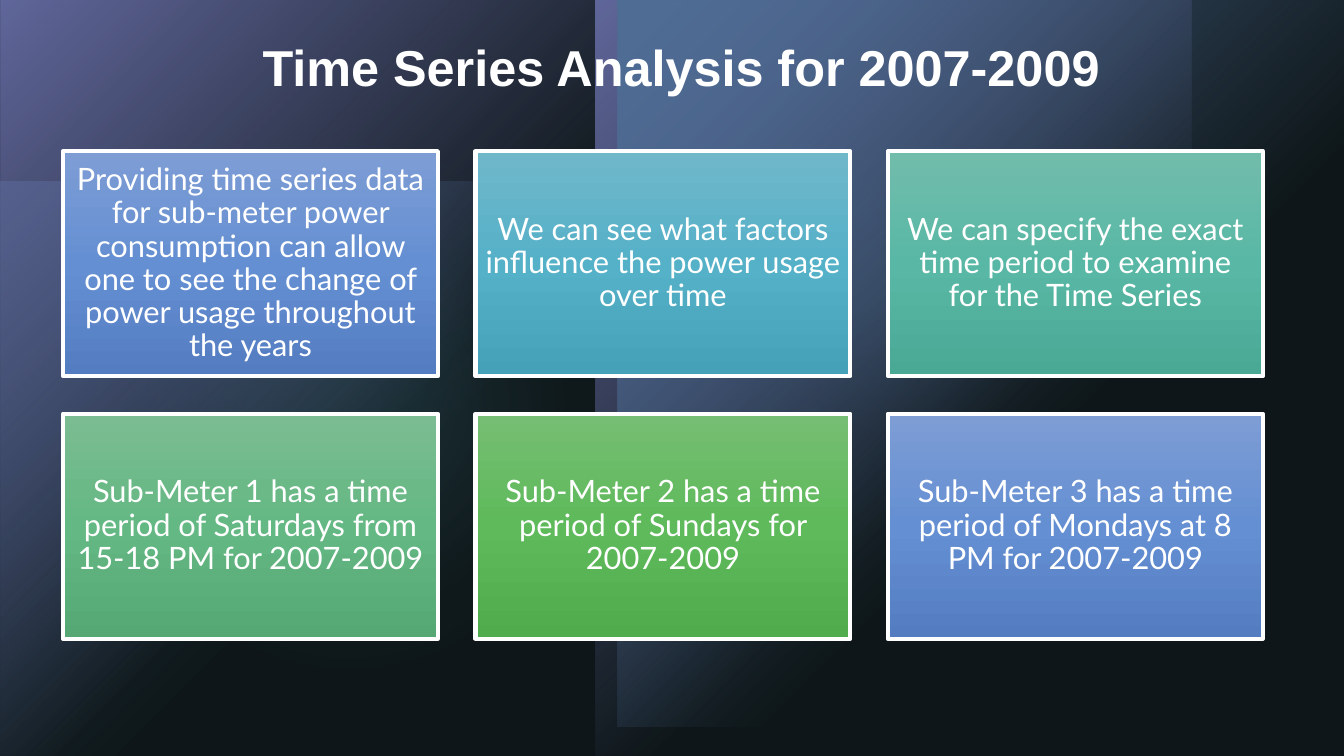
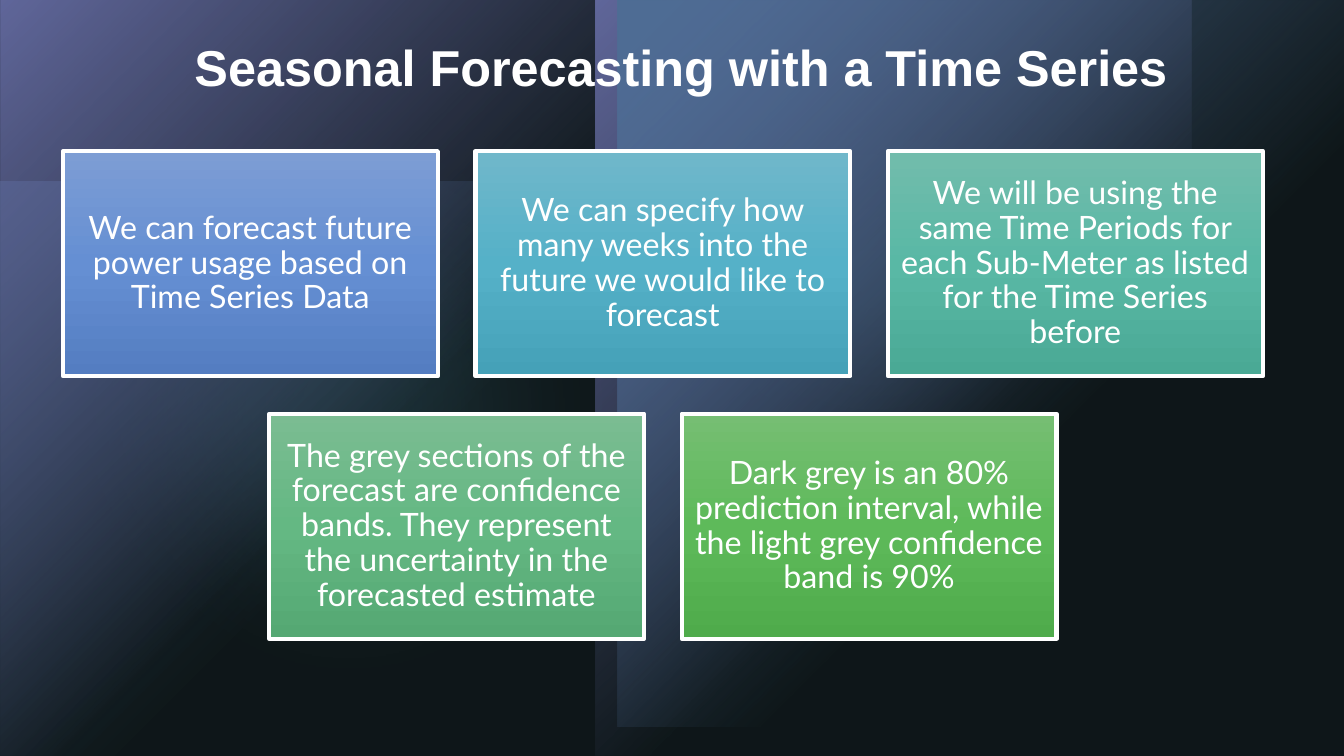
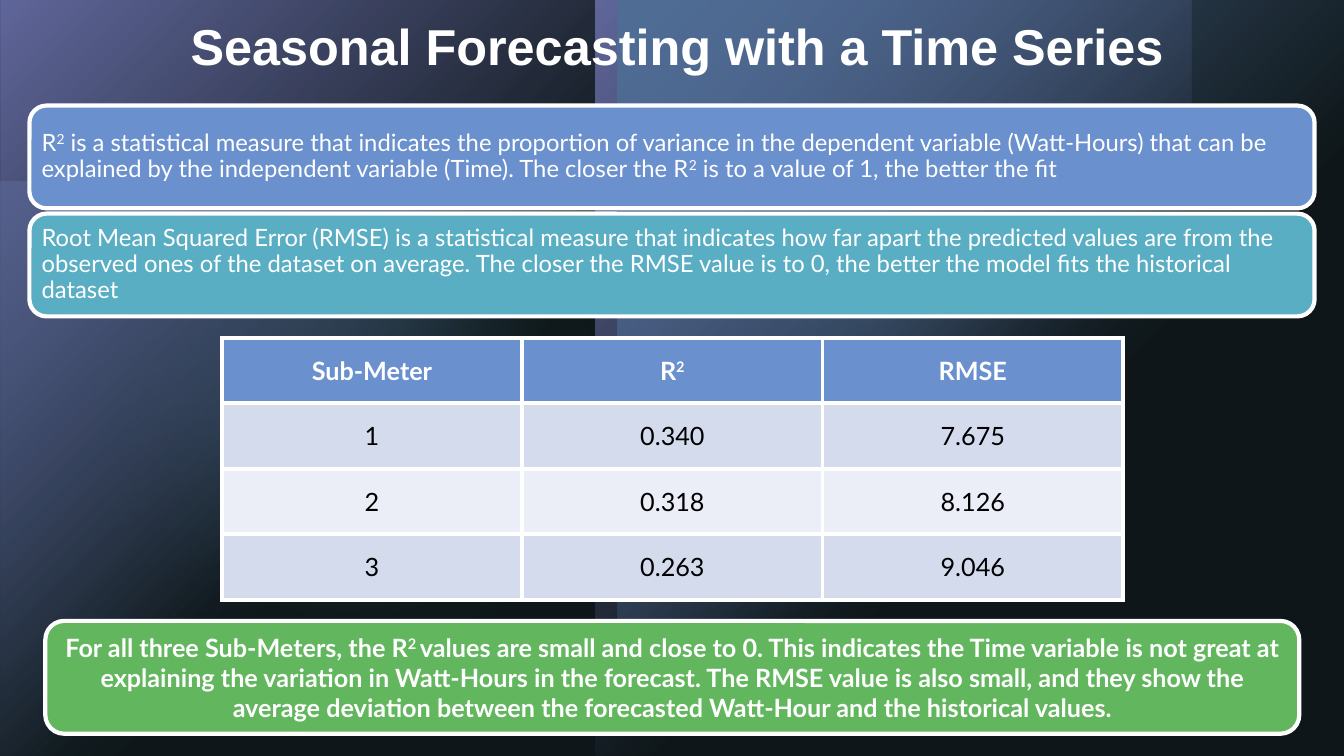
from dataclasses import dataclass

from lxml import etree
from pptx import Presentation
from pptx.dml.color import RGBColor
from pptx.enum.shapes import MSO_SHAPE
from pptx.enum.text import MSO_ANCHOR, PP_ALIGN
from pptx.oxml import parse_xml
from pptx.oxml.ns import nsdecls, qn
from pptx.util import Pt

RECT, OVAL, ROUNDED = MSO_SHAPE.RECTANGLE, MSO_SHAPE.OVAL, MSO_SHAPE.ROUNDED_RECTANGLE
LEFT, CENTER = PP_ALIGN.LEFT, PP_ALIGN.CENTER
MIDDLE, BOTTOM = MSO_ANCHOR.MIDDLE, MSO_ANCHOR.BOTTOM


@dataclass(frozen=True)
class Theme:
    black: str = "000000"
    white: str = "FFFFFF"
    blue: str = "6A90CE"
    teal: str = "5AAEC3"
    green: str = "62B65E"
    violet: str = "8885D7"
    veil: str = "24393F"
    bands: tuple = ("D4DBED", "EBEEF6")
    card_ramps: tuple = (
        ("7D9DD4", "658FD3", "547DC1"),
        ("70B7CA", "55B1C8", "45A1B8"),
        ("72BCAC", "59B8A5", "4AA995"),
        ("7BBC92", "64B883", "55A873"),
        ("76BE73", "5EBA5A", "4FAB4B"),
    )
    title_font: str = "Arial"
    body_font: str = "Lato"
    title_size: float = 36
    panel_size: float = 17
    table_size: float = 18
    outline: float = 3
    inset_ratio: float = 0.3  # text inset as a share of the type size


theme = Theme()


def write(frame, text, size, font=theme.body_font, color=theme.white, bold=False,
          align=CENTER, anchor=MIDDLE, spacing=1.0, inset=None):
    """Fill a text frame; parts between ^ marks are superscript."""
    frame.word_wrap = True
    frame.vertical_anchor = anchor
    if inset is not None:
        frame.margin_left = frame.margin_right = Pt(inset)
        frame.margin_top = frame.margin_bottom = Pt(inset)
    paragraph = frame.paragraphs[0]
    paragraph.alignment = align
    paragraph.line_spacing = spacing
    for index, part in enumerate(text.split("^")):
        run = paragraph.add_run()
        run.text = part
        run.font.name, run.font.size, run.font.bold = font, Pt(size), bold
        run.font.color.rgb = RGBColor.from_string(color)
        if index % 2:
            run.font._element.set("baseline", "30000")


def paint(shape, stops, radial=False, outlined=True):
    """Fill with (position %, colour, opacity %) stops; a single stop is a solid fill."""
    shape.shadow.inherit = False
    if outlined:
        shape.line.color.rgb = RGBColor.from_string(theme.white)
        shape.line.width = Pt(theme.outline)
    else:
        shape.line.fill.background()
    colors = [f'<a:srgbClr val="{color}"><a:alpha val="{opacity * 1000}"/></a:srgbClr>'
              for _, color, opacity in stops]
    if len(stops) == 1:
        fill = f'<a:solidFill {nsdecls("a")}>{colors[0]}</a:solidFill>'
    else:
        marks = "".join(f'<a:gs pos="{stop[0] * 1000}">{color}</a:gs>'
                        for stop, color in zip(stops, colors))
        direction = ('<a:path path="circle"><a:fillToRect r="100000" b="100000"/></a:path>'
                     if radial else '<a:lin ang="5400000" scaled="0"/>')
        fill = (f'<a:gradFill {nsdecls("a")} rotWithShape="1"><a:gsLst>{marks}</a:gsLst>'
                f'{direction}</a:gradFill>')
    shape.fill.background()
    properties = shape.element.spPr
    properties.replace(properties.find(qn("a:noFill")), parse_xml(fill))


prs = Presentation()
prs.slide_width, prs.slide_height = Pt(960), Pt(540)
slides = [prs.slides.add_slide(prs.slide_layouts[6]) for _ in range(3)]
periods, forecasting, fit = slides

# Shared backdrop, moved to the slide master
master = prs.slide_master
master.background.fill.solid()
master.background.fill.fore_color.rgb = RGBColor.from_string(theme.black)
faint_blue = [(0, theme.blue, 60), (60, theme.blue, 0)]
strong_blue = [(0, theme.blue, 100), (60, theme.blue, 0)]
strong_violet = [(0, theme.violet, 100), (60, theme.violet, 0)]
# preset, left, top, width, height, rotation, flips, stops
backdrop = [
    (RECT, 0, 129.4, 411, 411, 0, "V", faint_blue),
    (OVAL, 453, 31, 340, 340, 0, "V", [(0, theme.teal, 60)]),
    (OVAL, 0, 40.3, 499.7, 499.7, 0, "V", [(0, theme.teal, 20)]),
    (RECT, 0, 0, 425.5, 540, 180, "V", strong_violet),
    (RECT, 425.5, 0, 425.5, 540, 180, "HV", strong_violet),
    (RECT, 441, 0, 519, 519, 180, "V", strong_blue),
    (RECT, 0, 0, 960, 540, 0, "", [(0, theme.veil, 40)]),
]
for number, (preset, left, top, width, height, turn, flips, stops) in enumerate(backdrop, 101):
    layer = periods.shapes.add_shape(preset, Pt(left), Pt(top), Pt(width), Pt(height))
    layer.rotation = turn
    for axis in flips:
        layer.element.spPr.find(qn("a:xfrm")).set(f"flip{axis}", "1")
    paint(layer, stops, radial=True, outlined=False)
    if preset == OVAL:
        effects = layer.element.spPr.find(qn("a:effectLst"))
        etree.SubElement(effects, qn("a:softEdge"), rad=str(Pt(100)))
    layer.element.nvSpPr.cNvPr.set("id", str(number))
    master.shapes.element.append(layer.element)

# Titles
titles = [
    (periods, "Time Series Analysis for 2007-2009", 84.2, 28),
    (forecasting, "Seasonal Forecasting with a Time Series", 84.2, 28),
    (fit, "Seasonal Forecasting with a Time Series", 81.4, 13),
]
for slide, title, left, top in titles:
    heading = slide.shapes.add_textbox(Pt(left), Pt(top), Pt(805), Pt(45.4))
    write(heading.text_frame, title, theme.title_size, font=theme.title_font,
          bold=True, anchor=BOTTOM, spacing=0.9)

# Card grids: rows of up to three, each row centred
card_w, card_h, card_gap = 267.8, 160.7, 26.8
grid_center, grid_top, per_row = 473.5, 108, 3
card_sets = [
    (periods, 22, [
        "Providing time series data for sub-meter power consumption can allow one to see "
        "the change of power usage throughout the years",
        "We can see what factors influence the power usage over time",
        "We can specify the exact time period to examine for the Time Series",
        "Sub-Meter 1 has a time period of Saturdays from 15-18 PM for 2007-2009",
        "Sub-Meter 2 has a time period of Sundays for 2007-2009",
        "Sub-Meter 3 has a time period of Mondays at 8 PM for 2007-2009",
    ]),
    (forecasting, 23, [
        "We can forecast future power usage based on Time Series Data",
        "We can specify how many weeks into the future we would like to forecast",
        "We will be using the same Time Periods for each Sub-Meter as listed for the "
        "Time Series before",
        "The grey sections of the forecast are confidence bands. They represent the "
        "uncertainty in the forecasted estimate",
        "Dark grey is an 80% prediction interval, while the light grey confidence band is 90%",
    ]),
]
for slide, size, messages in card_sets:
    for index, message in enumerate(messages):
        row, column = divmod(index, per_row)
        in_row = min(per_row, len(messages) - row * per_row)
        row_left = grid_center - (in_row * (card_w + card_gap) - card_gap) / 2
        card = slide.shapes.add_shape(
            RECT, Pt(row_left + column * (card_w + card_gap)),
            Pt(grid_top + row * (card_h + card_gap)), Pt(card_w), Pt(card_h))
        ramp = theme.card_ramps[index % len(theme.card_ramps)]
        paint(card, [(position, color, 100) for position, color in zip((0, 50, 100), ramp)])
        write(card.text_frame, message, size, spacing=0.9, inset=size * theme.inset_ratio)

# Fit measures: table
scores = [
    ("Sub-Meter", "R^2", "RMSE"),
    ("1", "0.340", "7.675"),
    ("2", "0.318", "8.126"),
    ("3", "0.263", "9.046"),
]
score_table = fit.shapes.add_table(4, 3, Pt(158.4), Pt(241.2), Pt(643.8), Pt(187.2)).table
for column in score_table.columns:
    column.width = Pt(214.6)
for row_index, values in enumerate(scores):
    score_table.rows[row_index].height = Pt(46.8)
    is_header = row_index == 0
    band = theme.blue if is_header else theme.bands[(row_index - 1) % 2]
    for column_index, value in enumerate(values):
        cell = score_table.cell(row_index, column_index)
        for side in ("lnL", "lnR", "lnT", "lnB"):
            cell._tc.get_or_add_tcPr().append(parse_xml(
                f'<a:{side} {nsdecls("a")} w="{Pt(theme.outline)}"><a:solidFill>'
                f'<a:srgbClr val="{theme.white}"/></a:solidFill></a:{side}>'))
        cell.fill.solid()
        cell.fill.fore_color.rgb = RGBColor.from_string(band)
        cell.vertical_anchor = MIDDLE
        write(cell.text_frame, value, theme.table_size, bold=is_header,
              color=theme.white if is_header else theme.black)

# Fit measures: definitions
definitions = [
    (theme.blue,
     "R^2^ is a statistical measure that indicates the proportion of variance in the "
     "dependent variable (Watt-Hours) that can be explained by the independent variable "
     "(Time). The closer the R^2^ is to a value of 1, the better the fit"),
    (theme.teal,
     "Root Mean Squared Error (RMSE) is a statistical measure that indicates how far apart "
     "the predicted values are from the observed ones of the dataset on average. The closer "
     "the RMSE value is to 0, the better the model fits the historical dataset"),
]
for index, (color, definition) in enumerate(definitions):
    panel = fit.shapes.add_shape(ROUNDED, Pt(21), Pt(75.4 + index * 77.2), Pt(918), Pt(73.4))
    paint(panel, [(0, color, 100)])
    write(panel.text_frame, definition, theme.panel_size, align=LEFT, spacing=0.9,
          inset=theme.panel_size * theme.inset_ratio)

# Fit measures: conclusion
conclusion = fit.shapes.add_shape(ROUNDED, Pt(32.4), Pt(443.5), Pt(895.7), Pt(80.6))
paint(conclusion, [(0, theme.green, 100)])
write(conclusion.text_frame,
      "For all three Sub-Meters, the R^2 ^values are small and close to 0. This indicates the "
      "Time variable is not great at explaining the variation in Watt-Hours in the forecast. "
      "The RMSE value is also small, and they show the average deviation between the "
      "forecasted Watt-Hour and the historical values.",
      theme.table_size, bold=True)

prs.save("out.pptx")
